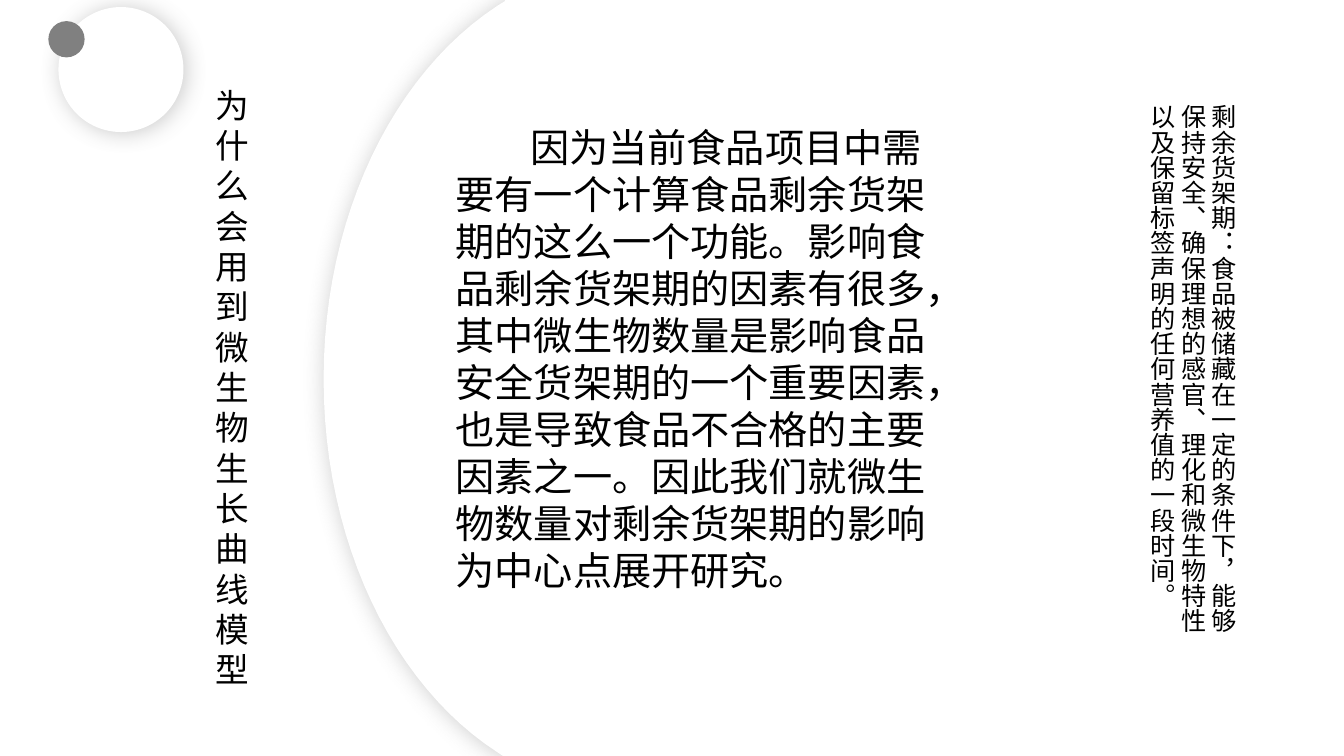
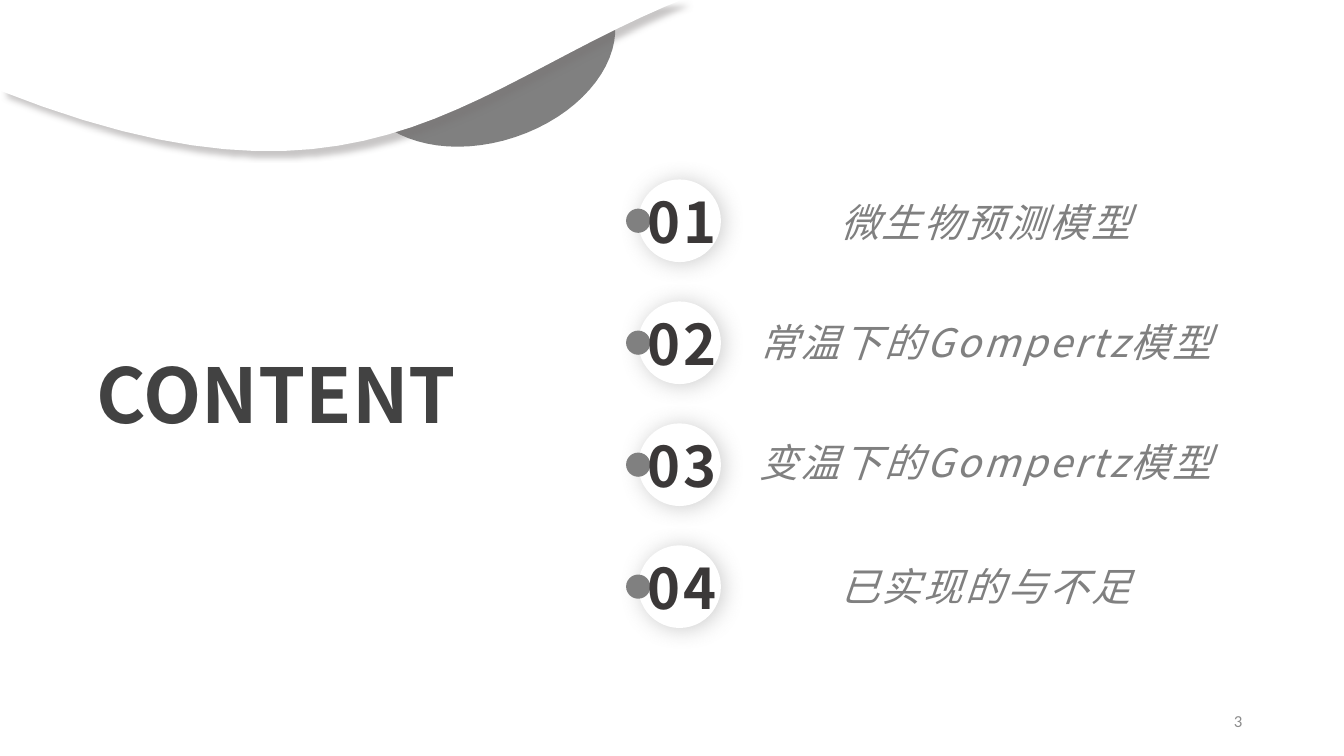
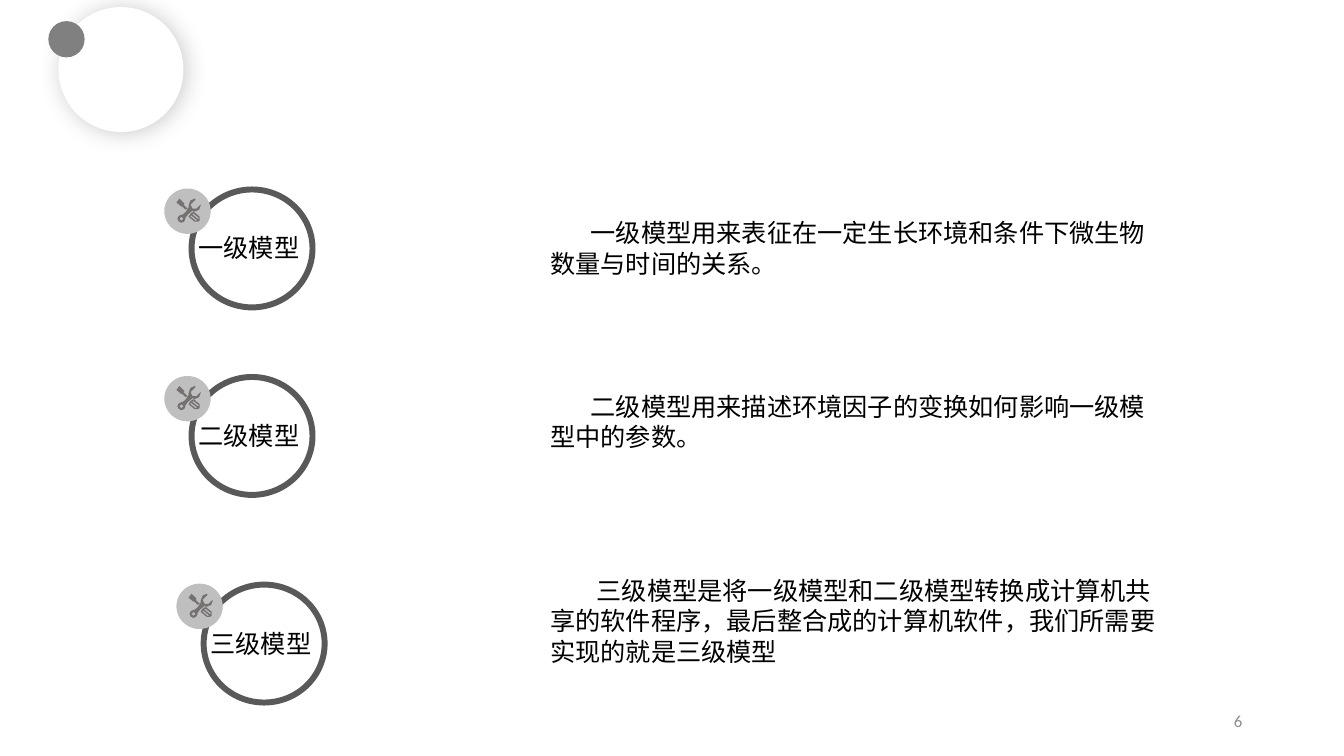
import math
from dataclasses import dataclass
from lxml import etree
from pptx import Presentation
from pptx import util as u
from pptx.dml.color import RGBColor
from pptx.enum import shapes, text
from pptx.oxml.ns import qn

PX = 9144  # 100 px to the inch
CJK = "Noto Sans CJK SC"
COLORS = {
    "white": "FFFFFF", "black": "000000", "dot": "808080", "heading": "424242",
    "number": "3B3838", "page": "8C8C8C", "ring": "595959", "disc": "BFBFBF",
    "icon": "767171",
}


@dataclass(frozen=True)
class Style:
    size: int
    font: str = "Calibri"
    color: str = "black"
    bold: bool = False
    italic: bool = False
    spacing: int = 0
    align: text.PP_ALIGN = text.PP_ALIGN.LEFT


@dataclass(frozen=True)
class Shadow:
    color: str
    blur: int
    distance: int
    angle: int


@dataclass(frozen=True)
class Chapter:
    number: str
    label: str
    label_top: int


@dataclass(frozen=True)
class Level:
    name: str
    left: int
    top: int
    description: str
    text_top: int
    text_height: int
    indent: int


SOFT = Shadow("dot", 16, 2, 30)
CAST = Shadow("icon", 4, 6, 45)

VERTICAL_TITLE = Style(24)
BODY = Style(18)
REASON = Style(28)
HEADING = Style(54, CJK, "heading", bold=True)
NUMBER = Style(40, CJK, "number", bold=True, spacing=200, align=text.PP_ALIGN.CENTER)
LABEL = Style(28, CJK, "dot", italic=True, spacing=200, align=text.PP_ALIGN.CENTER)
PAGE = Style(12, color="page", align=text.PP_ALIGN.RIGHT)

# A contour is a start point, then lines (x, y) and curves (x1, y1, x2, y2, x, y).
BIG_ARC = [[
    (501, -2), (1335, -2), (1335, 750), (499, 750), (493, 746),
    (391, 680, 321, 539, 321, 376), (321, 213, 391, 73, 493, 6), (501, 1),
]]
LEAF = [[
    (389, 0), (604, 0), (607, 8), (623, 56, 580, 113, 511, 136),
    (442, 159, 373, 139, 357, 91), (347, 61, 360, 27, 388, 1),
]]
WAVE = [[(0, 0), (676, 0), (661, 6), (454, 95, 352, 229, 0, 90)]]
TOOLS = [
    [(16, 12), (18, 13), (22, 13, 24, 10, 24, 7), (24, 6), (20, 10), (16, 10),
     (14, 6), (19, 1), (18, 0), (15, 0, 12, 3, 12, 7), (12, 9),
     (10, 13, 8, 15, 6, 16), (5, 16), (3, 16, 1, 18, 1, 20),
     (1, 22, 3, 24, 5, 24), (7, 24, 9, 22, 9, 20), (9, 19),
     (10, 17, 12, 15, 16, 12)],
    [(5, 22), (3, 20), (5, 18), (7, 20)],
    [(6, 8), (9, 11), (11, 10), (7, 6), (8, 5), (3, 0), (0, 4), (5, 8)],
    [(17, 13), (14, 15), (12, 18), (18, 23), (21, 23), (23, 22), (23, 18)],
    [(20, 22), (19, 22), (14, 18), (14, 17), (15, 17), (20, 21)],
    [(22, 20), (21, 20), (16, 16), (16, 15), (17, 15), (22, 19)],
]

CHAPTERS = [
    Chapter("01", "微生物预测模型", 197),
    Chapter("02", "常温下的Gompertz模型", 316),
    Chapter("03", "变温下的Gompertz模型", 435),
    Chapter("04", "已实现的与不足", 558),
]
LEVELS = [
    Level("一级模型", 190, 188,
          "一级模型用来表征在一定生长环境和条件下微生物数量与时间的关系。", 211, 71, 40),
    Level("二级模型", 190, 374,
          "二级模型用来描述环境因子的变换如何影响一级模型中的参数。", 383, 71, 40),
    Level("三级模型", 202, 580,
          "三级模型是将一级模型和二级模型转换成计算机共享的软件程序，"
          "最后整合成的计算机软件，我们所需要实现的就是三级模型", 566, 101, 46),
]


def rgb(name: str) -> RGBColor:
    return RGBColor.from_string(COLORS[name])


def place(shape, left: int, top: int, width: int, height: int) -> None:
    shape.left, shape.top = u.Emu(left * PX), u.Emu(top * PX)
    shape.width, shape.height = u.Emu(width * PX), u.Emu(height * PX)


def write(box, words: str, style: Style, indent: int = 0, middle: bool = False,
          inset: bool = True, wrap: bool = True) -> None:
    frame = box.text_frame
    frame.word_wrap = wrap
    frame.auto_size = text.MSO_AUTO_SIZE.SHAPE_TO_FIT_TEXT
    frame.vertical_anchor = text.MSO_ANCHOR.MIDDLE if middle else text.MSO_ANCHOR.TOP
    if not inset:
        frame.margin_left = frame.margin_right = frame.margin_top = frame.margin_bottom = 0
    para = frame.paragraphs[0]
    para.alignment = style.align
    if indent:
        para._p.get_or_add_pPr().set("indent", str(indent * PX))
    span = para.add_run()
    span.text = words
    span.font.size = u.Pt(style.size)
    span.font.name = style.font
    span.font.bold = style.bold
    span.font.italic = style.italic
    span.font.color.rgb = rgb(style.color)
    props = span.font._element
    etree.SubElement(props, qn("a:ea")).set("typeface", CJK)
    if style.spacing:
        props.set("spc", str(style.spacing))


def add_text(page, left: int, top: int, width: int, height: int, words: str,
             style: Style, **layout):
    box = page.shapes.add_textbox(0, 0, 0, 0)
    place(box, left, top, width, height)
    write(box, words, style, **layout)
    return box


def paint(shape, fill: str, shadow: Shadow | None = None) -> None:
    shape.shadow.inherit = False
    shape.fill.solid()
    shape.fill.fore_color.rgb = rgb(fill)
    shape.line.fill.background()
    if shadow:
        effects = shape._element.spPr.find(qn("a:effectLst"))
        outer = etree.SubElement(
            effects, qn("a:outerShdw"), blurRad=str(u.Pt(shadow.blur)),
            dist=str(u.Pt(shadow.distance)), dir=str(shadow.angle * 60000),
            algn="ctr", rotWithShape="0")
        color = etree.SubElement(outer, qn("a:srgbClr"), val=COLORS[shadow.color])
        etree.SubElement(color, qn("a:alpha"), val="40000")


def add_oval(page, left: int, top: int, width: int, height: int, fill: str,
             shadow: Shadow | None = None):
    oval = page.shapes.add_shape(shapes.MSO_SHAPE.OVAL, 0, 0, 0, 0)
    place(oval, left, top, width, height)
    paint(oval, fill, shadow)
    return oval


def flatten(contour: list[tuple]) -> list[tuple[float, float]]:
    """Turn lines and cubic curves into points, more of them on longer curves."""
    points = [contour[0]]
    for step in contour[1:]:
        if len(step) == 2:
            points.append(step)
            continue
        nodes = [points[-1], step[:2], step[2:4], step[4:]]
        count = min(24, 2 + int(math.dist(nodes[0], nodes[3]) / 10))
        for i in range(1, count + 1):
            t = i / count
            weights = ((1 - t) ** 3, 3 * t * (1 - t) ** 2, 3 * t * t * (1 - t), t ** 3)
            points.append(tuple(sum(w * n[axis] for w, n in zip(weights, nodes))
                                for axis in (0, 1)))
    return points


def add_outline(page, contours: list[list[tuple]], fill: str,
                shadow: Shadow | None = None, left: int = 0, top: int = 0) -> None:
    builder = None
    for contour in contours:
        points = [((x + left) * PX, (y + top) * PX) for x, y in flatten(contour)]
        if builder is None:
            builder = page.shapes.build_freeform(*points[0], scale=1.0)
        else:
            builder.move_to(*points[0])
        builder.add_line_segments(points[1:], close=True)
    paint(builder.convert_to_shape(), fill, shadow)


def add_corner_orb(page) -> None:
    add_oval(page, 58, 7, 124, 124, "white", SOFT)
    add_oval(page, 48, 21, 36, 36, "dot")


def add_page_number(page, number: str) -> None:
    add_text(page, 942, 695, 300, 40, number, PAGE, middle=True)


def add_chapter(page, chapter: Chapter, top: int) -> None:
    add_oval(page, 633, top, 82, 82, "white", SOFT)
    add_oval(page, 621, top + 29, 24, 24, "dot")
    add_text(page, 619, top + 8, 115, 67, chapter.number, NUMBER, middle=True, inset=False)
    add_text(page, 663, chapter.label_top, 629, 47, chapter.label, LABEL,
             middle=True, inset=False)


def add_level(page, level: Level) -> None:
    left, top = level.left, level.top
    ring = add_oval(page, left, top, 120, 117, "white")
    ring.fill.background()
    ring.line.color.rgb = rgb("ring")
    ring.line.width = u.Pt(4.25)
    add_oval(page, left - 27, top - 1, 46, 45, "disc")
    add_outline(page, TOOLS, "icon", left=left - 15, top=top + 9)
    add_text(page, left - 3, top + 38, 135, 40, level.name, BODY)
    add_text(page, 536, level.text_top, 624, level.text_height, level.description,
             BODY, indent=level.indent)


def build_reason(page) -> None:
    add_outline(page, BIG_ARC, "white", SOFT)
    add_corner_orb(page)
    place(page.shapes.title, 204, 79, 54, 616)
    write(page.shapes.title, "为什么会用到微生物生长曲线模型", VERTICAL_TITLE)
    add_text(page, 442, 117, 519, 481,
             "因为当前食品项目中需要有一个计算食品剩余货架期的这么一个功能。"
             "影响食品剩余货架期的因素有很多，其中微生物数量是影响食品安全货架期的一个重要因素，"
             "也是导致食品不合格的主要因素之一。"
             "因此我们就微生物数量对剩余货架期的影响为中心点展开研究。", REASON, indent=74)
    definition = add_text(
        page, 1092, 94, 141, 560,
        "剩余货架期：食品被储藏在一定的条件下，能够保持安全、确保理想的感官、"
        "理化和微生物特性以及保留标签声明的任何营养值的一段时间。", BODY)
    definition.text_frame._txBody.bodyPr.set("vert", "eaVert")


def build_contents(page) -> None:
    add_outline(page, LEAF, "dot")
    add_page_number(page, "3")
    place(page.shapes.title, 86, 340, 399, 101)
    write(page.shapes.title, "CONTENT", HEADING, wrap=False)
    add_outline(page, WAVE, "white", CAST)
    for i, chapter in enumerate(CHAPTERS):
        add_chapter(page, chapter, 178 + 121 * i)


def build_levels(page) -> None:
    add_corner_orb(page)
    add_page_number(page, "6")
    for level in LEVELS:
        add_level(page, level)


def main() -> None:
    deck = Presentation()
    deck.slide_width, deck.slide_height = u.Emu(1333 * PX), u.Emu(750 * PX)
    title_only, blank = deck.slide_layouts[5], deck.slide_layouts[6]
    build_reason(deck.slides.add_slide(title_only))
    build_contents(deck.slides.add_slide(title_only))
    build_levels(deck.slides.add_slide(blank))
    deck.save("out.pptx")


if __name__ == "__main__":
    main()
